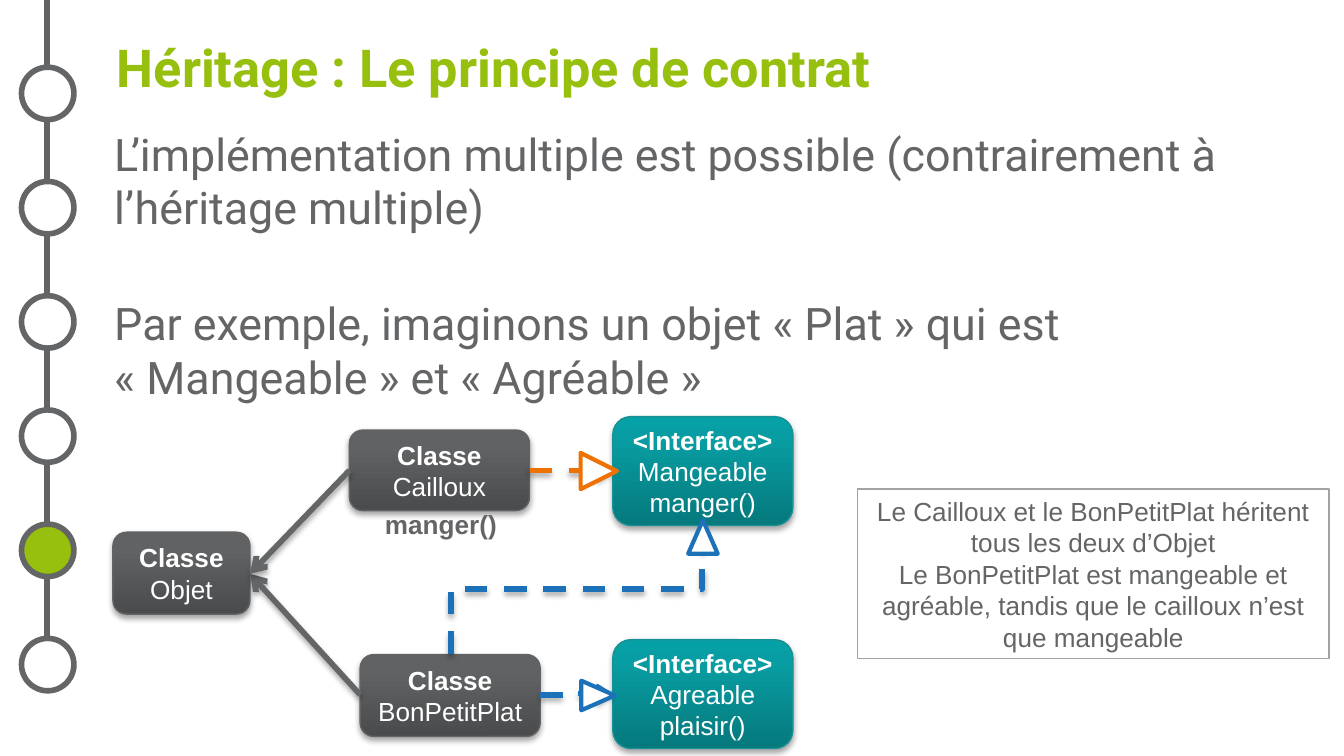
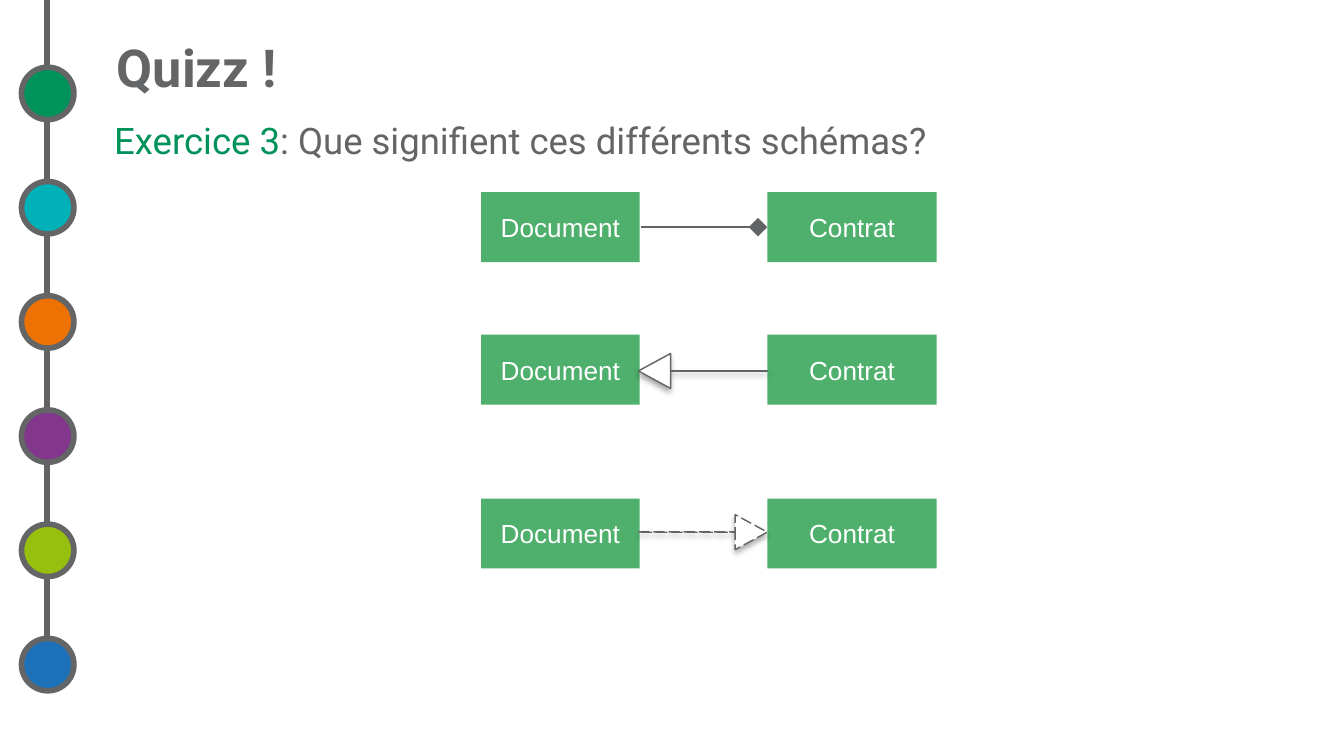
from copy import deepcopy

from lxml import etree
from pptx import Presentation
from pptx.dml.color import RGBColor
from pptx.enum import dml, shapes, text
from pptx.oxml.ns import qn
from pptx.util import Inches, Pt

GREY, RAIL_GREY, WHITE = "646567", "626365", "FFFFFF"
LIME, GREEN, ORANGE, BLUE = "97BF0D", "00925B", "EE7203", "1D71B8"
CLASS_FILL = ("4A4B4D", "606264", "616265")
INTERFACE_FILL = ("06797D", "089DA2", "06A1A6")
SHAPE, LINK, DASH = shapes.MSO_SHAPE, shapes.MSO_CONNECTOR, dml.MSO_LINE
LEFT, CENTER = text.PP_ALIGN.LEFT, text.PP_ALIGN.CENTER
HARD_SPACE = chr(160)  # keeps the guillemets with their word


def paint(item, fill=None, line=None, width=0.75, dash=None, arrow=None, shadow=False):
    """Style a shape or connector; a tuple as fill makes a gradient rising from the bottom."""
    if isinstance(fill, tuple):
        item.fill.gradient()
        item.fill.gradient_angle = 90
        stops = item._element.spPr.find(qn("a:gradFill")).find(qn("a:gsLst"))
        stops.append(deepcopy(stops[1]))
        for stop, position, color in zip(item.fill.gradient_stops, (0, 0.8, 1), fill):
            stop.position = position
            stop.color.rgb = RGBColor.from_string(color)
    elif fill:
        item.fill.solid()
        item.fill.fore_color.rgb = RGBColor.from_string(fill)
    elif hasattr(item, "fill"):
        item.fill.background()

    if line:
        item.line.color.rgb = RGBColor.from_string(line)
        item.line.width = Pt(width)
        if dash:
            item.line.dash_style = dash
        if arrow:
            size = "lg" if arrow == "diamond" else "med"
            etree.SubElement(item.line._get_or_add_ln(), qn("a:tailEnd"),
                             type=arrow, w=size, len=size)
    else:
        item.line.fill.background()

    effects = etree.SubElement(item._element.spPr, qn("a:effectLst"))
    if shadow:
        outer = etree.SubElement(effects, qn("a:outerShdw"), blurRad="40000", dist="23000",
                                 dir="5400000", rotWithShape="0")
        black = etree.SubElement(outer, qn("a:srgbClr"), val="000000")
        etree.SubElement(black, qn("a:alpha"), val="35000")


def write(frame, lines, color, size=14, font="Arial", bold_lines=0, align=CENTER,
          anchor=text.MSO_ANCHOR.MIDDLE, inset=0.1):
    """Fill a text frame with one paragraph a line, the first bold_lines of them bold."""
    frame.word_wrap = True
    frame.auto_size = text.MSO_AUTO_SIZE.NONE
    frame.vertical_anchor = anchor
    frame.margin_left = frame.margin_right = Inches(inset)
    frame.margin_top = frame.margin_bottom = Inches(min(inset, 0.05))
    frame.text = "\n".join(lines)
    for number, para in enumerate(frame.paragraphs):
        para.alignment = align
        para.font.name = font
        para.font.size = Pt(size)
        para.font.bold = number < bold_lines
        para.font.color.rgb = RGBColor.from_string(color)


deck = Presentation()
deck.slide_width = Inches(10)
deck.slide_height = deck.slide_width * 9 // 16
layout = deck.slide_layouts[1]
frames = [(0.87, 0.2, 8.76, 0.59), (0.75, 0.89, 9.1, 4.52)]
for holder, place in zip(layout.placeholders, frames):
    holder.left, holder.top, holder.width, holder.height = map(Inches, place)

# Title, body and chapter rail of both slides
plat, mangeable, agreable = (f"«{HARD_SPACE}{word}{HARD_SPACE}»"
                             for word in ("Plat", "Mangeable", "Agréable"))
slides = [
    ("Héritage : Le principe de contrat", LIME,
     ["L’implémentation multiple est possible (contrairement à l’héritage multiple)",
      f"Par exemple, imaginons un objet {plat} qui est {mangeable} et {agreable}"],
     GREY, 24, [WHITE, WHITE, WHITE, WHITE, LIME, WHITE]),
    ("Quizz !", GREY, ["Exercice 3"], GREEN, 19.6,
     [GREEN, "00B1B7", ORANGE, "82368C", LIME, BLUE]),
]
for title, title_color, lines, body_color, size, dots in slides:
    page = deck.slides.add_slide(layout)
    write(page.shapes.title.text_frame, [title], title_color, 28, "Roboto", 1, LEFT, inset=0)
    body = page.placeholders[1].text_frame
    write(body, lines, body_color, size, "Roboto", 0, LEFT, text.MSO_ANCHOR.TOP)
    for para in body.paragraphs:
        para.space_before = Pt(2)
        properties = para._p.get_or_add_pPr()
        properties.set("marL", "0")
        properties.set("indent", "0")
        properties.insert_element_before(etree.Element(qn("a:buNone")), "a:tabLst", "a:defRPr")

    rail = page.shapes.add_connector(LINK.STRAIGHT, Inches(0.35), 0, Inches(0.35), Inches(5.02))
    paint(rail, line=RAIL_GREY, width=3)
    for number, color in enumerate(dots):
        dot = page.shapes.add_shape(SHAPE.OVAL, Inches(0.16), Inches(0.5 + 0.85 * number),
                                    Inches(0.39), Inches(0.39))
        paint(dot, color, GREY, 3)

contract, quiz = deck.slides

# Slide 1: class diagram
contract.placeholders[1].text_frame.paragraphs[1].space_before = Pt(33)

class_boxes = [
    (0.84, 3.96, 1.02, 0.61, ["Classe", "Objet"]),
    (2.6, 3.2, 1.34, 0.6, ["Classe", "Cailloux"]),
    (2.68, 4.87, 1.34, 0.61, ["Classe", "BonPetitPlat"]),
    (4.56, 3.1, 1.34, 0.81, ["<Interface>", "Mangeable", "manger()"]),
    (4.56, 4.76, 1.34, 0.81, ["<Interface>", "Agreable", "plaisir()"]),
]
for *place, lines in class_boxes:
    box = contract.shapes.add_shape(SHAPE.ROUNDED_RECTANGLE, *map(Inches, place))
    if lines[0] == "Classe":
        paint(box, CLASS_FILL, RAIL_GREY, shadow=True)
    else:
        paint(box, INTERFACE_FILL, "179195", shadow=True)
    write(box.text_frame, lines, WHITE, bold_lines=1)

links = [
    (LINK.STRAIGHT, 2.68, 5.17, 1.86, 4.27, GREY, None, 0),
    (LINK.STRAIGHT, 2.6, 3.5, 1.86, 4.27, GREY, None, 0),
    (LINK.ELBOW, 3.94, 3.5, 4.56, 3.5, ORANGE, DASH.DASH, 0),
    (LINK.ELBOW, 4.02, 5.17, 4.56, 5.16, BLUE, DASH.DASH, 0),
    (LINK.ELBOW, 4.77, 5.32, 3.81, 3.45, BLUE, DASH.DASH, 90),
]
for kind, *ends, color, dash, turn in links:
    link = contract.shapes.add_connector(kind, *map(Inches, ends))
    if turn:
        link._element.spPr.xfrm.set("rot", str(turn * 60000))
    paint(link, line=color, width=3, dash=dash, arrow="arrow", shadow=True)

note = contract.shapes.add_shape(SHAPE.RECTANGLE, Inches(6.38), Inches(3.64),
                                 Inches(3.51), Inches(1.26))
paint(note, line="A2A2A4")
write(note.text_frame,
      ["Le Cailloux et le BonPetitPlat héritent tous les deux d’Objet",
       "Le BonPetitPlat est mangeable et agréable, tandis que le cailloux n’est que mangeable"],
      GREY, inset=0)

method = contract.shapes.add_textbox(Inches(2.54), Inches(3.66), Inches(1.48), Inches(0.48))
write(method.text_frame, ["manger()"], GREY, bold_lines=1, inset=0)

arrowheads = [
    (5.12, 3.87, 0.22, 0.25, 0, BLUE),
    (4.32, 3.37, 0.27, 0.27, 90, ORANGE),
    (4.34, 5.05, 0.22, 0.25, 90, BLUE),
]
for *place, turn, color in arrowheads:
    head = contract.shapes.add_shape(SHAPE.ISOSCELES_TRIANGLE, *map(Inches, place))
    head.rotation = turn
    paint(head, WHITE, color, 2.25)

# Slide 2: three relations to name
question = quiz.placeholders[1].text_frame.paragraphs[0]
question.line_spacing = 0.8
span = question.add_run()
span.text = ": Que signifient ces différents schémas?"
span.font.color.rgb = RGBColor.from_string(GREY)

diamond = quiz.shapes.add_connector(LINK.STRAIGHT, Inches(4.77), Inches(1.69),
                                    Inches(5.64), Inches(1.69))
paint(diamond, line=RAIL_GREY, width=1, arrow="diamond")

for top in (1.43, 2.49, 3.71):
    for left, width, name in ((3.58, 1.18, "Document"), (5.71, 1.26, "Contrat")):
        box = quiz.shapes.add_shape(SHAPE.RECTANGLE, Inches(left), Inches(top),
                                    Inches(width), Inches(0.52))
        paint(box, "4FAF6C")
        write(box.text_frame, [name], WHITE)

for top, turn, dash in ((2.63, 180, None), (3.83, 0, DASH.LONG_DASH)):
    arrow = quiz.shapes.add_shape(SHAPE.RIGHT_ARROW, Inches(4.75), Inches(top),
                                  Inches(0.96), Inches(0.26))
    arrow.adjustments[0], arrow.adjustments[1] = 0.01, 0.92
    arrow.rotation = turn
    paint(arrow, WHITE, RAIL_GREY, dash=dash, shadow=True)

deck.save("out.pptx")
